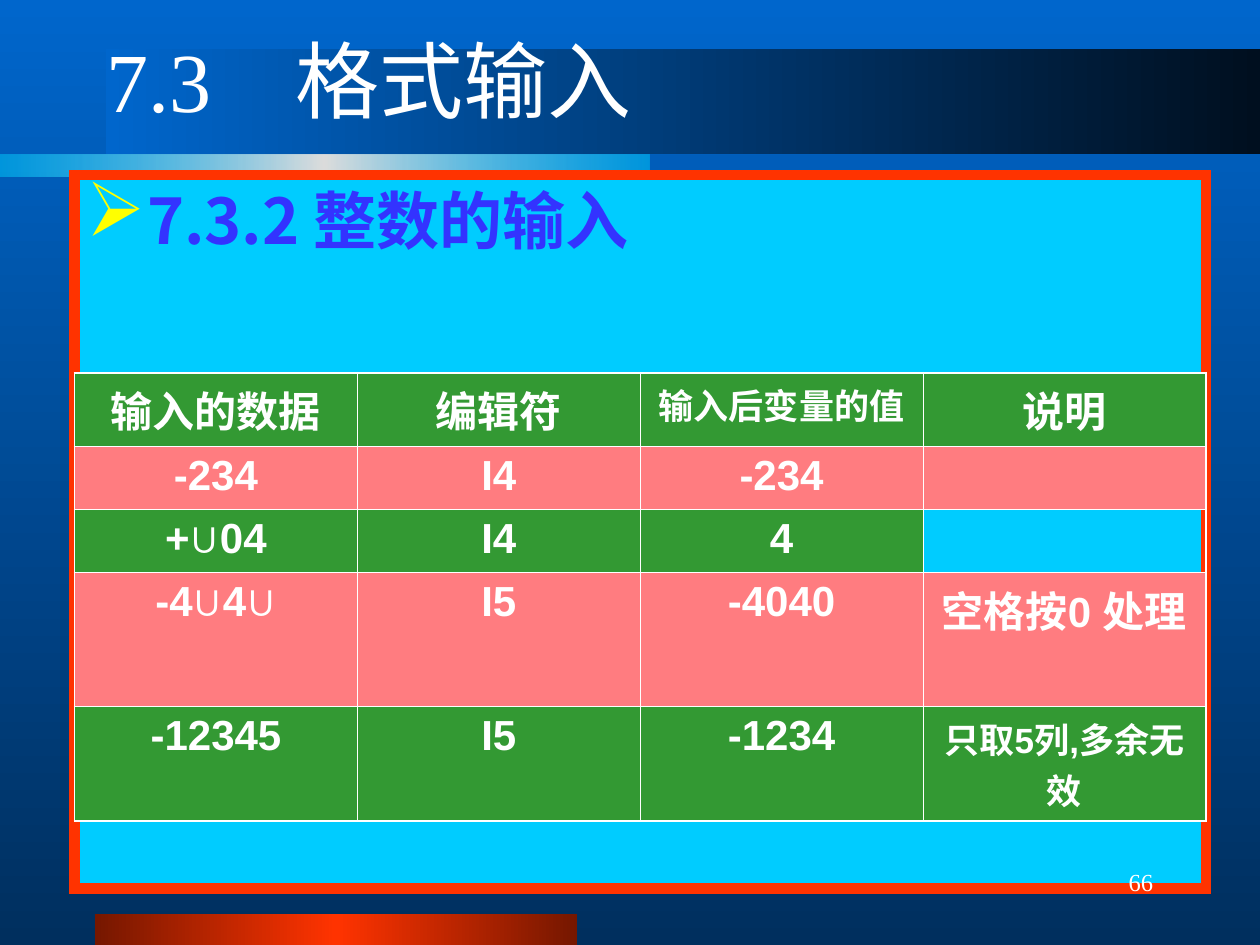
from lxml import etree
from pptx import Presentation
from pptx import util as u
from pptx.dml.color import RGBColor
from pptx.enum import shapes, text
from pptx.oxml.ns import qn

UNIT = u.Inches(10) / 120
WHITE = RGBColor(0xFF, 0xFF, 0xFF)
YELLOW = RGBColor(0xFF, 0xFF, 0x00)
ORANGE = RGBColor(0xFF, 0x33, 0x00)
MAROON = RGBColor(0x75, 0x17, 0x00)
BLUE = RGBColor(0x00, 0x66, 0xCC)
NAVY = RGBColor(0x00, 0x2F, 0x5E)
NIGHT = RGBColor(0x00, 0x0F, 0x1F)
CYAN = RGBColor(0x00, 0xCC, 0xFF)
SILVER = RGBColor(0xDD, 0xDD, 0xDD)
INDIGO = RGBColor(0x33, 0x33, 0xFF)
GREEN = RGBColor(0x33, 0x99, 0x33)
PINK = RGBColor(0xFF, 0x7C, 0x80)
CJK = "Noto Sans CJK SC"
ROWS = [
    ["输入的数据", "编辑符", "输入后变量的值", "说明"],
    ["-234", "I4", "-234", ""],
    ["+∪04", "I4", "4", ""],
    ["-4∪4∪", "I5", "-4040", "空格按0 处理"],
    ["-12345", "I5", "-1234", "只取5列,多余无效"],
]
ROW_HEIGHTS = [7, 6, 6, 12.8, 10.9]
SMALL_CELLS = {(0, 2), (4, 3)}
CLEAR_CELL = (2, 3)


def grid(*cells):
    """Turn grid columns and rows into slide lengths."""
    return [u.Emu(round(cell * UNIT)) for cell in cells]


def add_node(parent, tag, **attributes):
    """Append a drawing element to a parent."""
    return etree.SubElement(parent, qn(tag), attributes)


def add_color(parent, color, alpha=100):
    """Append a colour with its opacity in percent."""
    node = add_node(parent, "a:srgbClr", val=str(color))
    if alpha < 100:
        add_node(node, "a:alpha", val=str(alpha * 1000))


def paint_gradient(fill, owner, stops, angle):
    """Give the owner's fill a linear gradient of (position, colour, opacity) stops."""
    fill.gradient()
    gradient = next(owner.element.iter(qn("a:gradFill")))
    for child in list(gradient):
        gradient.remove(child)
    stop_list = add_node(gradient, "a:gsLst")
    for position, color, alpha in stops:
        add_color(add_node(stop_list, "a:gs", pos=str(position * 1000)), color, alpha)
    add_node(gradient, "a:lin", ang=str(angle * 60000), scaled="0")


def style_text(para, size, font, color, bold=False):
    """Format every run of a paragraph."""
    for span in para.runs:
        span.font.size = u.Pt(size)
        span.font.name = font
        span.font.bold = bold
        span.font.color.rgb = color
        add_node(span.font._element, "a:ea", typeface=CJK)


def add_rectangle(slide, place):
    """Add a rectangle without line or shadow."""
    box = slide.shapes.add_shape(shapes.MSO_SHAPE.RECTANGLE, *grid(*place))
    box.shadow.inherit = False
    box.line.fill.background()
    return box


def add_band(slide, place, stops):
    """Add a decorative band shaded from right to left."""
    band = add_rectangle(slide, place)
    paint_gradient(band.fill, band, stops, 180)


def add_label(slide, place, words, size, align):
    """Add a white serif text box centred vertically."""
    box = slide.shapes.add_textbox(*grid(*place))
    frame = box.text_frame
    frame.word_wrap = True
    frame.vertical_anchor = text.MSO_ANCHOR.MIDDLE
    frame.text = words
    para = frame.paragraphs[0]
    para.alignment = align
    style_text(para, size, "Times New Roman", WHITE)


def add_panel(slide, place, words):
    """Add the sharp-cornered panel with its bulleted heading."""
    panel = add_rectangle(slide, place)
    panel.fill.solid()
    panel.fill.fore_color.rgb = CYAN
    panel.line.color.rgb = ORANGE
    panel.line.width = u.Pt(6)
    add_node(next(panel.element.iter(qn("a:ln"))), "a:miter", lim="800000")
    frame = panel.text_frame
    frame.vertical_anchor = text.MSO_ANCHOR.TOP
    frame.text = words
    para = frame.paragraphs[0]
    para.alignment = text.PP_ALIGN.LEFT
    properties = para._p.get_or_add_pPr()
    add_color(add_node(properties, "a:buClr"), YELLOW)
    add_node(properties, "a:buSzPct", val="120000")
    add_node(properties, "a:buFont", typeface="OpenSymbol")
    add_node(properties, "a:buChar", char="➢")
    style_text(para, 36, CJK, INDIGO, True)


def set_borders(cell, outer_sides):
    """Draw white cell borders, heavier on the table's outer sides."""
    properties = cell._tc.get_or_add_tcPr()
    for index, side in enumerate("LRTB"):
        width = u.Pt(1.08 if side in outer_sides else 0.45)
        border = etree.Element(qn(f"a:ln{side}"), w=str(width))
        add_color(add_node(border, "a:solidFill"), WHITE)
        properties.insert(index, border)


def fill_cell(cell, row, column):
    """Write and format one table cell."""
    if (row, column) == CLEAR_CELL:
        cell.fill.background()
    else:
        cell.fill.solid()
        cell.fill.fore_color.rgb = PINK if row % 2 else GREEN
    cell.text_frame.text = ROWS[row][column]
    para = cell.text_frame.paragraphs[0]
    para.alignment = text.PP_ALIGN.CENTER
    style_text(para, 20 if (row, column) in SMALL_CELLS else 24, "Arial", WHITE, True)
    edges = {"L": column == 0, "R": column == len(ROWS[0]) - 1,
             "T": row == 0, "B": row == len(ROWS) - 1}
    set_borders(cell, [side for side, outer in edges.items() if outer])


def add_input_table(slide, left, top, width):
    """Add the table of input data and resulting values."""
    place = grid(left, top, width, sum(ROW_HEIGHTS))
    table = slide.shapes.add_table(len(ROWS), len(ROWS[0]), *place).table
    for column in table.columns:
        column.width = grid(width / len(ROWS[0]))[0]
    for row, height in enumerate(ROW_HEIGHTS):
        table.rows[row].height = grid(height)[0]
        for column in range(len(ROWS[0])):
            fill_cell(table.cell(row, column), row, column)


def main():
    """Build and save the slide."""
    deck = Presentation()
    deck.slide_width, deck.slide_height = grid(120, 90)
    slide = deck.slides.add_slide(deck.slide_layouts[6])
    paint_gradient(slide.background.fill, slide, [(0, BLUE, 100), (100, NAVY, 100)], 90)
    add_band(slide, (9, 87, 46, 3),
             [(0, MAROON, 100), (50, ORANGE, 100), (100, MAROON, 100)])
    add_band(slide, (10.1, 4.7, 109.9, 10), [(0, NIGHT, 100), (100, BLUE, 100)])
    add_band(slide, (-0.1, 14.7, 62, 2.1),
             [(0, CYAN, 50), (50, SILVER, 100), (100, CYAN, 50)])
    add_label(slide, (9, 0, 102, 15), "7.3　格式输入", 48, text.PP_ALIGN.LEFT)
    add_panel(slide, (7.1, 16.65, 107.75, 68), "7.3.2 整数的输入")
    add_input_table(slide, 7.1, 35.5, 107.75)
    add_label(slide, (86, 81, 25, 6), "66", 14, text.PP_ALIGN.RIGHT)
    deck.save("out.pptx")


if __name__ == "__main__":
    main()
